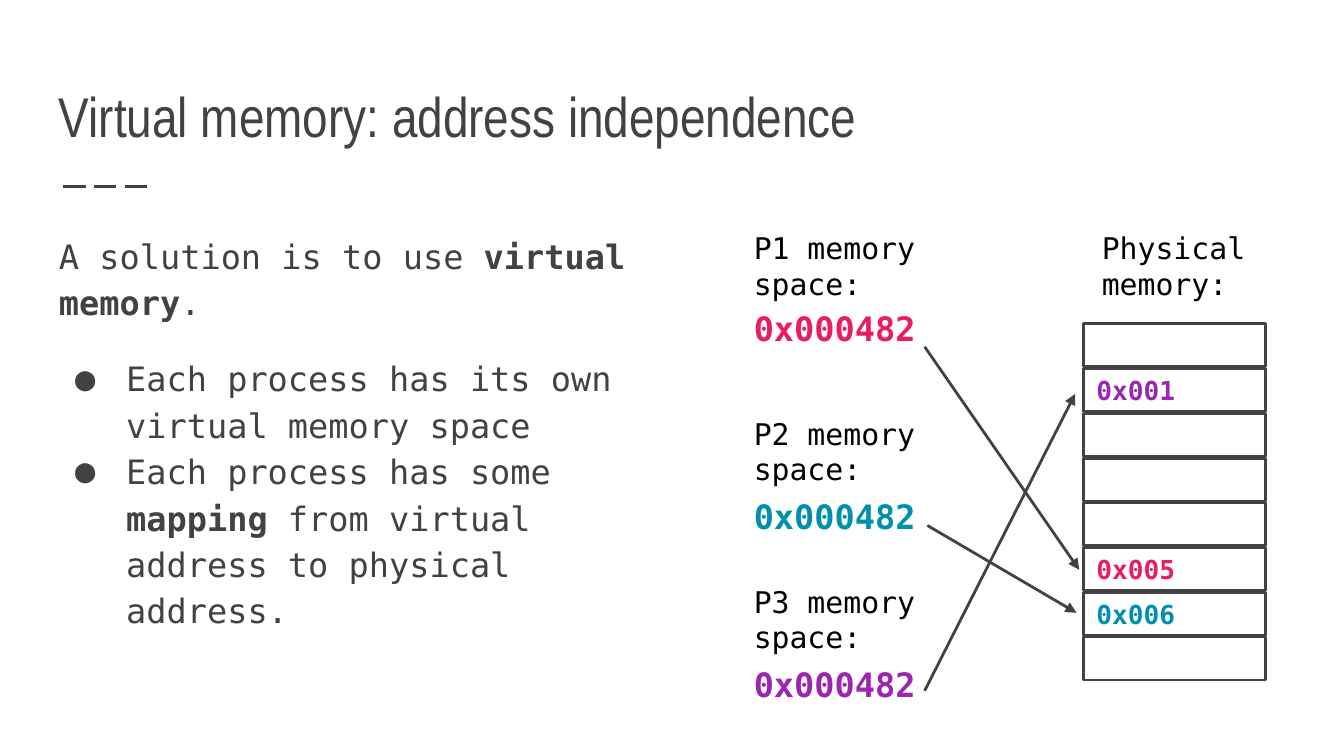
from lxml import etree
from pptx import Presentation
from pptx import util as u
from pptx.dml.color import RGBColor
from pptx.enum import dml, shapes, text
from pptx.oxml.ns import qn

INK, BLACK = "424242", "000000"
MONO = "DejaVu Sans Mono"

TITLE = "Virtual memory: address independence"
BODY = [
    (False, [("A solution is to use ", False), ("virtual memory", True), (".", False)]),
    (True, [("Each process has its own virtual memory space", False)]),
    (True, [("Each process has some ", False), ("mapping", True),
            (" from virtual address to physical address.", False)]),
]
ADDRESS = "0x000482"
SPACES = [
    ("P1 memory space:", "E91D63", 1.61, 2.19, (6.88, 2.58), (8.03, 4.24)),
    ("P2 memory space:", "0090AC", 2.99, 3.59, (6.9, 3.91), (8.01, 4.56)),
    ("P3 memory space:", "9C26B0", 4.24, 4.84, (6.88, 5.14), (8, 2.93)),
]
FRAMES = {1: ("0x001", "9C26B0"), 5: ("0x005", "E91D63"), 6: ("0x006", "0090AC")}
COUNT = 8


def color(code):
    return RGBColor.from_string(code)


def add_run(para, words, size, code, bold=False, face=MONO):
    run = para.add_run()
    run.text = words
    font = run.font
    font.size, font.name, font.bold = u.Pt(size), face, bold
    font.color.rgb = color(code)


def set_frame(shape, anchor):
    frame = shape.text_frame
    frame.word_wrap = True
    frame.vertical_anchor = anchor
    frame.margin_left = frame.margin_right = u.Inches(0.1)
    frame.margin_top = frame.margin_bottom = u.Inches(0.1)
    return frame


def add_box(slide, left, top, wide, high, anchor=text.MSO_ANCHOR.TOP):
    box = slide.shapes.add_textbox(*map(u.Inches, (left, top, wide, high)))
    return set_frame(box, anchor)


def add_label(slide, words, left, top, wide, high, size=16, code=BLACK, bold=False):
    frame = add_box(slide, left, top, wide, high)
    add_run(frame.paragraphs[0], words, size, code, bold)


def add_line(slide, start, end):
    line = slide.shapes.add_connector(
        shapes.MSO_CONNECTOR.STRAIGHT, *map(u.Inches, start + end))
    line.line.color.rgb = color(INK)
    line.line.width = u.Pt(1.5)
    etree.SubElement(line._element.spPr, qn("a:effectLst"))
    return line


def add_arrow(slide, start, end):
    line = add_line(slide, start, end)
    etree.SubElement(line.line._get_or_add_ln(), qn("a:tailEnd"), type="triangle")


def add_bullet(para):
    props = para._p.get_or_add_pPr()
    props.set("marL", str(u.Inches(0.5)))
    props.set("indent", str(u.Inches(-0.38)))
    tint = etree.SubElement(props, qn("a:buClr"))
    etree.SubElement(tint, qn("a:srgbClr"), val=INK)
    etree.SubElement(props, qn("a:buFont"), typeface=MONO)
    etree.SubElement(props, qn("a:buChar"), char="●")


def add_body(slide):
    frame = add_box(slide, 0.34, 1.61, 4.65, 3.39)
    for i, (bullet, runs) in enumerate(BODY):
        para = frame.add_paragraph() if i else frame.paragraphs[0]
        para.line_spacing = 1.15
        if i == 1:
            para.space_before = u.Pt(16)
        if bullet:
            add_bullet(para)
        for words, bold in runs:
            add_run(para, words, 18, INK, bold)


def add_memory(slide):
    group = slide.shapes.add_group_shape()
    for i in range(COUNT):
        top = 2.41 + i * (4.74 - 2.41) / (COUNT - 1)
        cell = group.shapes.add_shape(
            shapes.MSO_SHAPE.RECTANGLE, *map(u.Inches, (8.06, top, 1.36, 0.32)))
        cell.shadow.inherit = False
        cell.fill.background()
        cell.line.color.rgb = color(INK)
        cell.line.width = u.Pt(1.5)
        if i in FRAMES:
            words, code = FRAMES[i]
            para = set_frame(cell, text.MSO_ANCHOR.MIDDLE).paragraphs[0]
            para.alignment = text.PP_ALIGN.LEFT
            add_run(para, words, 14, code, True)


def main():
    deck = Presentation()
    deck.slide_width, deck.slide_height = u.Inches(10), u.Pt(405)
    slide = deck.slides.add_slide(deck.slide_layouts[6])

    rule = add_line(slide, (0.47, 1.39), (1.14, 1.39))
    rule.line.dash_style = dml.MSO_LINE.LONG_DASH
    title = add_box(slide, 0.34, 0.41, 9.32, 0.8, text.MSO_ANCHOR.BOTTOM)
    add_run(title.paragraphs[0], TITLE, 30, INK, face="Arial Narrow")
    add_body(slide)

    for name, code, top, low, start, end in SPACES:
        add_label(slide, name, 5.51, top, 1.85, 0.74)
        add_label(slide, ADDRESS, 5.51, low, 1.58, 0.56, 18, code, True)
        add_arrow(slide, start, end)
    add_label(slide, "Physical memory:", 8.1, 1.61, 1.37, 0.74)
    add_memory(slide)
    deck.save("out.pptx")


if __name__ == "__main__":
    main()
